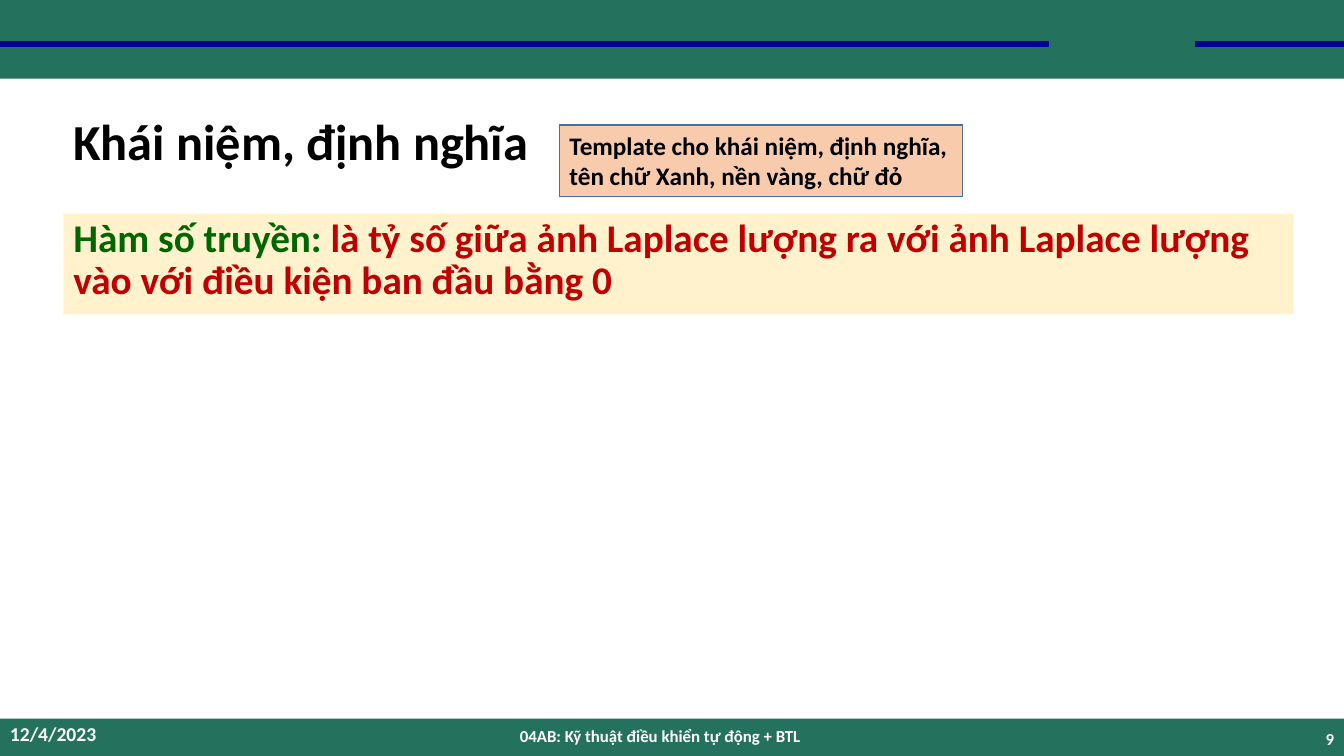
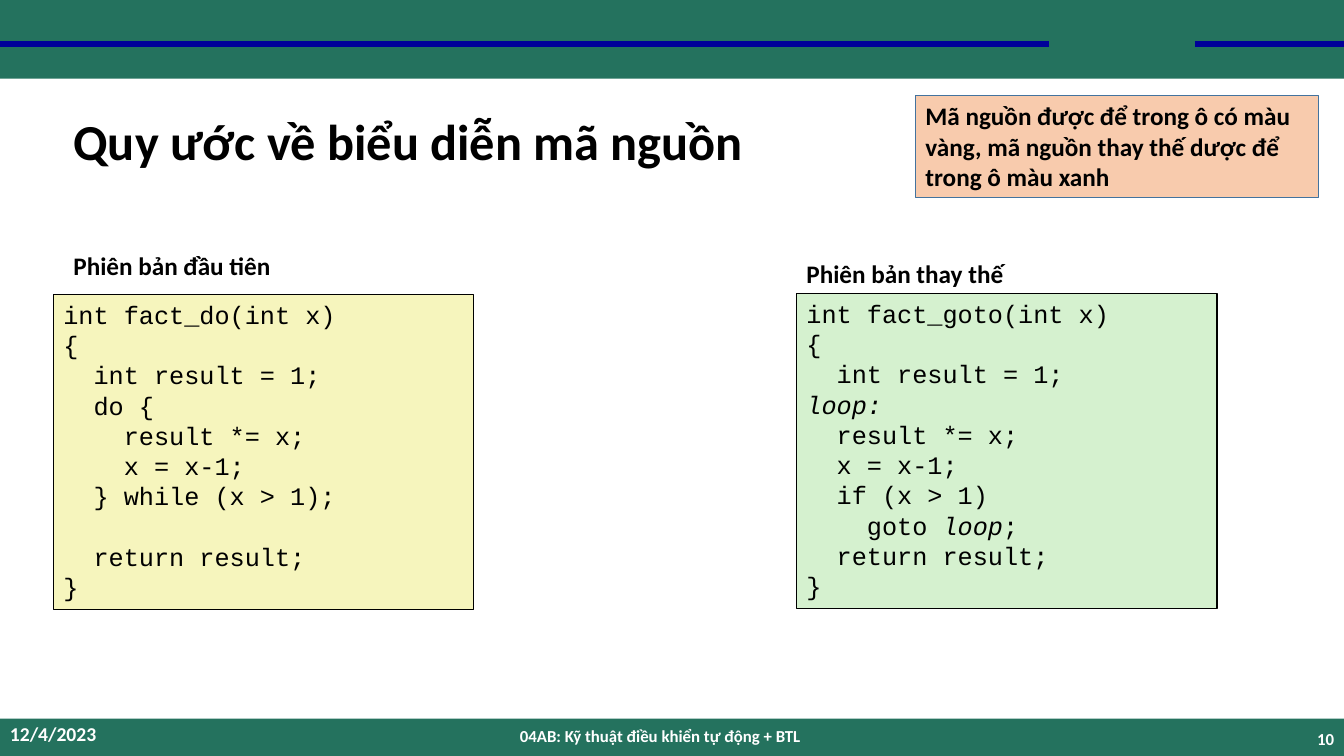
from lxml.etree import SubElement
from pptx import Presentation
from pptx.dml.color import RGBColor
from pptx.enum.shapes import MSO_CONNECTOR, MSO_SHAPE
from pptx.enum.text import MSO_ANCHOR, PP_ALIGN
from pptx.oxml.ns import qn
from pptx.util import Inches, Pt

GREEN, NAVY, WHITE, BLACK = "24725E", "000099", "FFFFFF", "000000"
NOTE = dict(fill="F8CBAD", line="43739E", line_width=0.75)
CODE = dict(font="Courier New", bold=False, line=BLACK, spacing=Pt(21.6))
FOOTER = dict(color=WHITE, anchor=MSO_ANCHOR.MIDDLE)


def rgb(color):
    return RGBColor.from_string(color)


def add_text(s, box, paragraphs, size=18, font="Calibri", color=BLACK, bold=True,
             align=PP_ALIGN.LEFT, anchor=MSO_ANCHOR.TOP, spacing=None, wrap=True,
             fill=None, line=None, line_width=1):
    """Each paragraph is a string or a list of (text, font settings) runs."""
    sp = s.shapes.add_textbox(*map(Inches, box))
    if fill:
        sp.fill.solid()
        sp.fill.fore_color.rgb = rgb(fill)
    if line:
        sp.line.color.rgb = rgb(line)
        sp.line.width = Pt(line_width)
    tf = sp.text_frame
    tf.word_wrap = wrap
    tf.vertical_anchor = anchor
    for i, runs in enumerate(paragraphs):
        p = tf.add_paragraph() if i else tf.paragraphs[0]
        p.alignment = align
        p.line_spacing = spacing
        for text, own in [(runs, {})] if isinstance(runs, str) else runs:
            r = p.add_run()
            r.text = text
            r.font.name = font
            r.font.size = Pt(size)
            r.font.bold = bold
            r.font.italic = own.get("italic", False)
            r.font.color.rgb = rgb(own.get("color", color))
    return sp


prs = Presentation()
prs.slide_width, prs.slide_height = Inches(13.33), Inches(7.5)

# Bands, title and footer of every slide
titles = ["Khái niệm, định nghĩa", "Quy ước về biểu diễn mã nguồn"]
for number, title in enumerate(titles, 9):
    s = prs.slides.add_slide(prs.slide_layouts[6])
    for top, height in [(0, 0.78), (7.13, 0.37)]:
        band = s.shapes.add_shape(MSO_SHAPE.RECTANGLE, 0, Inches(top),
                                  prs.slide_width, Inches(height))
        band.shadow.inherit = False
        band.fill.solid()
        band.fill.fore_color.rgb = rgb(GREEN)
        band.line.fill.background()
    for start, end in [(0, 10.4), (11.85, 13.33)]:
        rule = s.shapes.add_connector(MSO_CONNECTOR.STRAIGHT, Inches(start),
                                      Inches(0.44), Inches(end), Inches(0.44))
        rule.line.color.rgb = rgb(NAVY)
        rule.line.width = Pt(4.5)
        SubElement(rule.element.spPr, qn("a:effectLst"))
    add_text(s, (0.63, 0.77, 12.2, 1.33), [title], size=36, spacing=0.9,
             anchor=MSO_ANCHOR.MIDDLE)
    add_text(s, (0, 7.1, 3, 0.36), ["12/4/2023"], size=14, **FOOTER)
    add_text(s, (4.3, 7.1, 4.5, 0.4), ["04AB: Kỹ thuật điều khiển tự động + BTL"],
             size=12, align=PP_ALIGN.CENTER, **FOOTER)
    add_text(s, (10.33, 7.13, 3, 0.4), [str(number)], size=12,
             align=PP_ALIGN.RIGHT, **FOOTER)

definition_slide, code_slide = prs.slides

# Definition
definition = [
    ("Hàm số truyền: ", {"color": "006600"}),
    ("là tỷ số giữa ảnh Laplace lượng ra với ảnh Laplace lượng vào "
     "với điều kiện ban đầu bằng 0", {}),
]
add_text(definition_slide, (0.63, 2.12, 12.2, 1), [definition], size=28,
         color="C00000", spacing=0.9, fill="FFF2CC")
add_text(definition_slide, (5.55, 1.24, 4, 0.71),
         ["Template cho khái niệm, định nghĩa, tên chữ Xanh, nền vàng, chữ đỏ"], **NOTE)

# Source code in two versions
do_lines = [
    "int fact_do(int x)",
    "{",
    "  int result = 1;",
    "  do {",
    "    result *= x;",
    "    x = x-1;",
    "  } while (x > 1);",
    "  return result;",
    "}",
]
goto_lines = [
    "int fact_goto(int x)",
    "{",
    "  int result = 1;",
    [("loop:", {"italic": True})],
    "  result *= x;",
    "  x = x-1;",
    "  if (x > 1)",
    [("    goto", {}), (" loop", {"italic": True}), (";", {})],
    "  return result;",
    "}",
]
do_code = add_text(code_slide, (0.53, 2.92, 4.17, 3.13), do_lines, fill="F6F5BD", **CODE)
do_code.text_frame.paragraphs[-2].space_before = CODE["spacing"]
add_text(code_slide, (7.9, 2.91, 4.17, 3.13), goto_lines, fill="D5F1CF", **CODE)
add_text(code_slide, (0.63, 2.43, 2.23, 0.4), ["Phiên bản đầu tiên"], wrap=False)
add_text(code_slide, (7.9, 2.51, 2.17, 0.4), ["Phiên bản thay thế"], wrap=False)
add_text(code_slide, (9.08, 0.95, 4, 1.01),
         ["Mã nguồn được để trong ô có màu vàng, mã nguồn thay thế dược để "
          "trong ô màu xanh"], **NOTE)

prs.save("out.pptx")
